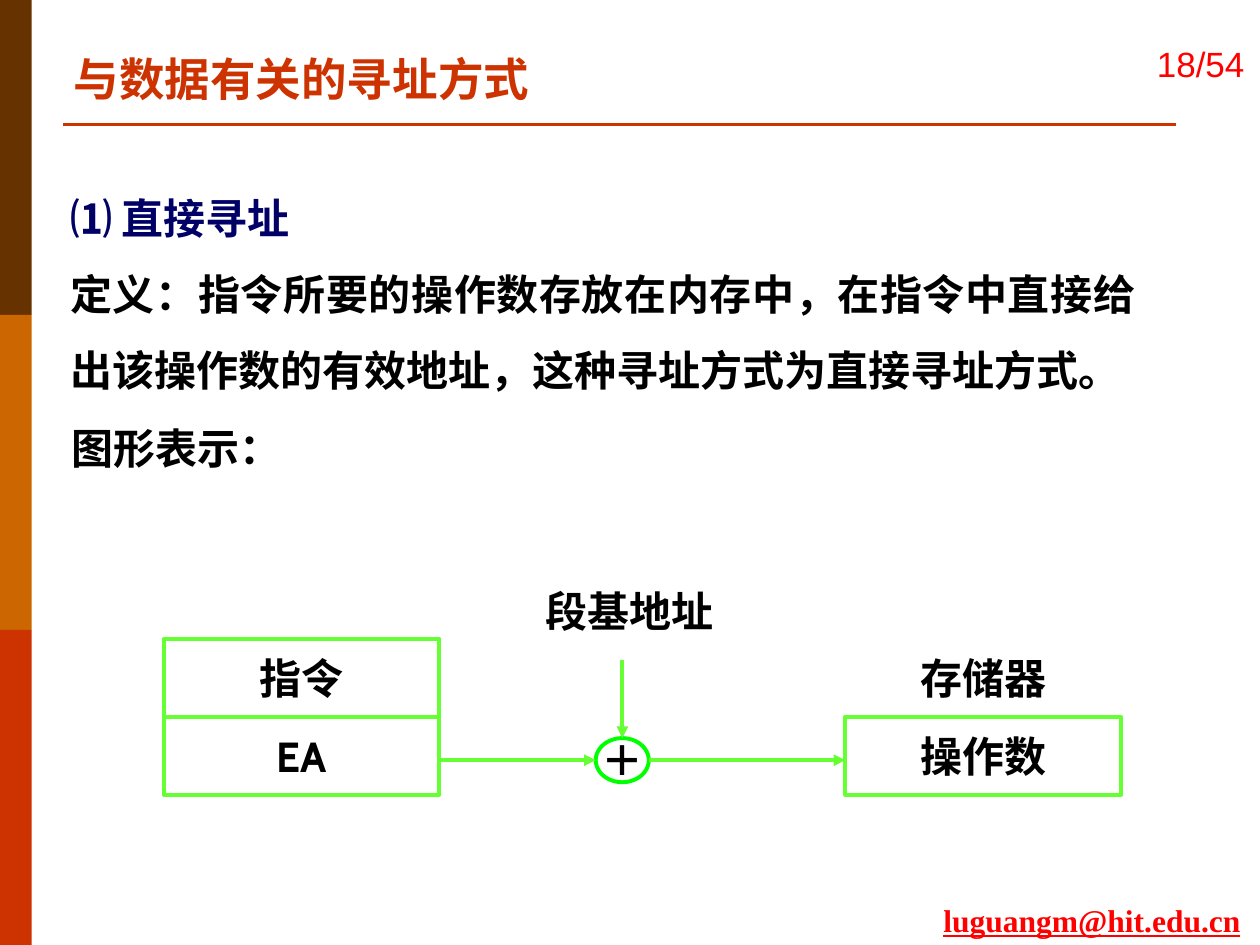
from dataclasses import dataclass

from lxml import etree
from pptx import Presentation
from pptx.dml.color import RGBColor
from pptx.enum.shapes import MSO_CONNECTOR, MSO_SHAPE
from pptx.enum.text import MSO_ANCHOR, PP_ALIGN
from pptx.oxml.ns import qn
from pptx.util import Cm, Pt

RECT, OVAL = MSO_SHAPE.RECTANGLE, MSO_SHAPE.OVAL
STRAIGHT = MSO_CONNECTOR.STRAIGHT
TOP, MIDDLE = MSO_ANCHOR.TOP, MSO_ANCHOR.MIDDLE
LEFT, CENTER, JUSTIFY = PP_ALIGN.LEFT, PP_ALIGN.CENTER, PP_ALIGN.JUSTIFY

BROWN = RGBColor(0x66, 0x33, 0x00)
ORANGE = RGBColor(0xCC, 0x66, 0x00)
BRICK = RGBColor(0xCC, 0x33, 0x00)
RED = RGBColor(0xFF, 0x00, 0x00)
NAVY = RGBColor(0x00, 0x00, 0x66)
BLACK = RGBColor(0x00, 0x00, 0x00)
LIME = RGBColor(0x66, 0xFF, 0x33)
GREEN = RGBColor(0x00, 0xFF, 0x00)

SANS_CJK, SERIF, LABEL_FONT = "Noto Sans CJK SC", "Times New Roman", "Cabin"


@dataclass(frozen=True)
class Box:
    """Position and size in centimetres."""
    left: float
    top: float
    width: float
    height: float

    def lengths(self) -> tuple:
        return Cm(self.left), Cm(self.top), Cm(self.width), Cm(self.height)


@dataclass(frozen=True)
class Style:
    size: float
    font: str
    color: RGBColor
    bold: bool = True
    underline: bool = False


@dataclass(frozen=True)
class Layout:
    align: PP_ALIGN = LEFT
    anchor: MSO_ANCHOR = TOP
    margins: tuple[float, float] = (0.25, 0.13)
    wrap: bool = False
    spacing: float = 1.0


@dataclass(frozen=True)
class Node:
    text: str
    box: Box
    outline: RGBColor | None = LIME
    preset: MSO_SHAPE = RECT


@dataclass(frozen=True)
class Arrow:
    start: tuple[float, float]
    end: tuple[float, float]


LABEL = Style(24, LABEL_FONT, BLACK)
BODY = Style(24, SANS_CJK, BLACK)
HEADING = Style(24, SANS_CJK, NAVY)
NODE_LAYOUT = Layout(CENTER, MIDDLE, (0.71, 0.36))

CELL_W, CELL_H = 5.56, 1.57
INSTRUCTION_X, MEMORY_X = 3.3, 17.04
UPPER_Y = 12.88
LOWER_Y = UPPER_Y + CELL_H
ADDER = Box(12.01, 14.88, 1.07, 0.89)
ADDER_X = ADDER.left + ADDER.width / 2
FLOW_Y = ADDER.top + ADDER.height / 2

NODES = [
    Node("EA", Box(INSTRUCTION_X, LOWER_Y, CELL_W, CELL_H)),
    Node("指令", Box(INSTRUCTION_X, UPPER_Y, CELL_W, CELL_H)),
    Node("操作数", Box(MEMORY_X, LOWER_Y, CELL_W, CELL_H)),
    Node("存储器", Box(MEMORY_X, UPPER_Y, CELL_W, CELL_H), None),
    Node("＋", ADDER, GREEN, OVAL),
    Node("段基地址", Box(9.91, 11.53, CELL_W, CELL_H), None),
]
ARROWS = [
    Arrow((INSTRUCTION_X + CELL_W, FLOW_Y), (ADDER.left, FLOW_Y)),
    Arrow((ADDER_X, 13.31), (ADDER_X, ADDER.top)),
    Arrow((ADDER.left + ADDER.width, FLOW_Y), (MEMORY_X, FLOW_Y)),
]


def write(frame, paragraphs: list[tuple[str, Style]], layout: Layout) -> None:
    frame.word_wrap = layout.wrap
    frame.vertical_anchor = layout.anchor
    side, edge = layout.margins
    frame.margin_left = frame.margin_right = Cm(side)
    frame.margin_top = frame.margin_bottom = Cm(edge)
    for index, (text, style) in enumerate(paragraphs):
        paragraph = frame.add_paragraph() if index else frame.paragraphs[0]
        paragraph.alignment = layout.align
        paragraph.line_spacing = layout.spacing
        run = paragraph.add_run()
        run.text = text
        font = run.font
        font.size, font.name = Pt(style.size), style.font
        font.bold, font.underline = style.bold, style.underline
        font.color.rgb = style.color
        east_asian = etree.SubElement(font._element, qn("a:ea"))
        east_asian.set("typeface", SANS_CJK)


def add_text(slide, box: Box, paragraphs: list[tuple[str, Style]],
             layout: Layout = Layout()) -> None:
    write(slide.shapes.add_textbox(*box.lengths()).text_frame, paragraphs, layout)


def add_bar(slide, box: Box, color: RGBColor) -> None:
    bar = slide.shapes.add_shape(RECT, *box.lengths())
    bar.shadow.inherit = False
    bar.fill.solid()
    bar.fill.fore_color.rgb = color
    bar.line.fill.background()


def add_node(slide, node: Node) -> None:
    """Draw an outlined shape, or a bare label when there is no outline."""
    content = [(node.text, LABEL)]
    if node.outline is None:
        add_text(slide, node.box, content, NODE_LAYOUT)
        return
    shape = slide.shapes.add_shape(node.preset, *node.box.lengths())
    shape.shadow.inherit = False
    shape.fill.background()
    shape.line.color.rgb = node.outline
    shape.line.width = Pt(2.25)
    write(shape.text_frame, content, NODE_LAYOUT)


def add_line(slide, start: tuple[float, float], end: tuple[float, float],
             color: RGBColor, width: float, arrowhead: bool = False) -> None:
    points = [Cm(value) for value in (*start, *end)]
    line = slide.shapes.add_connector(STRAIGHT, *points)
    line.line.color.rgb = color
    line.line.width = Pt(width)
    if arrowhead:
        tail = etree.SubElement(line.line._get_or_add_ln(), qn("a:tailEnd"))
        tail.set("type", "triangle")
    etree.SubElement(line._element.spPr, qn("a:effectLst"))


def main() -> None:
    deck = Presentation()
    deck.slide_width, deck.slide_height = Cm(25.4), Cm(19.05)
    slide = deck.slides.add_slide(deck.slide_layouts[6])

    bar_height = 19.05 / 3
    for index, color in enumerate((BROWN, ORANGE, BRICK)):
        add_bar(slide, Box(0, index * bar_height, 0.64, bar_height), color)
    add_line(slide, (1.27, 2.51), (23.7, 2.51), BRICK, 1.5)

    add_text(slide, Box(18.77, 18.03, 6.63, 1.02),
             [("luguangm@hit.edu.cn", Style(18, SERIF, RED, underline=True))])
    add_text(slide, Box(23.01, 0.03, 2.39, 2.49),
             [("18/54", Style(20, "Arial", RED, bold=False))],
             Layout(CENTER, MIDDLE, wrap=True))
    add_text(slide, Box(1.24, 0.89, 17.75, 1.37),
             [("与数据有关的寻址方式", Style(26, SERIF, BRICK))], Layout(wrap=True))

    definition = ("定义：指令所要的操作数存放在内存中，在指令中直接给"
                  "出该操作数的有效地址，这种寻址方式为直接寻址方式。")
    add_text(slide, Box(1.12, 3.23, 22.07, 4.78),
             [("⑴ 直接寻址", HEADING), (definition, BODY)],
             Layout(JUSTIFY, margins=(0.3, 0.15), wrap=True, spacing=1.5))
    add_text(slide, Box(1.14, 8.36, 4.88, 1.32), [("图形表示：", BODY)],
             Layout(margins=(0.3, 0.15)))

    for node in NODES:
        add_node(slide, node)
    for arrow in ARROWS:
        add_line(slide, arrow.start, arrow.end, LIME, 2.25, arrowhead=True)

    deck.save("out.pptx")


if __name__ == "__main__":
    main()
